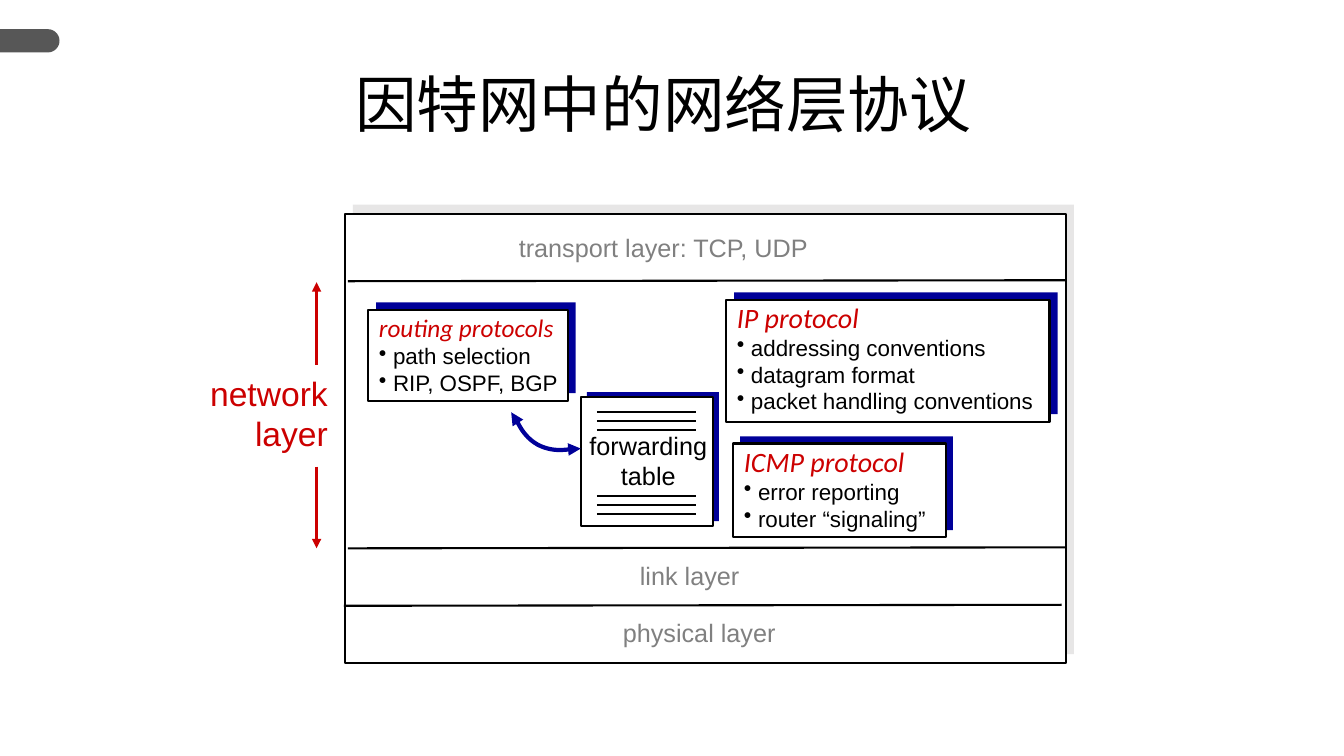
from dataclasses import dataclass
from math import cos, pi, sin

from lxml import etree
from pptx import Presentation
from pptx import util as u
from pptx.dml.color import RGBColor
from pptx.enum import shapes, text
from pptx.oxml import ns

PX = u.Inches(1) // 100
BLACK = RGBColor(0x00, 0x00, 0x00)
WHITE = RGBColor(0xFF, 0xFF, 0xFF)
NAVY = RGBColor(0x00, 0x00, 0x99)
RED = RGBColor(0xCC, 0x00, 0x00)
GREY = RGBColor(0x80, 0x80, 0x80)
PALE = RGBColor(0xE7, 0xE6, 0xE6)
DARK = RGBColor(0x57, 0x57, 0x57)
LEFT, CENTER, RIGHT = text.PP_ALIGN.LEFT, text.PP_ALIGN.CENTER, text.PP_ALIGN.RIGHT
BULLET_INDENT = 14


@dataclass(frozen=True)
class Panel:
    left: int
    top: int
    width: int
    height: int
    shift: tuple[int, int] = (8, -8)
    backing: RGBColor = NAVY


@dataclass(frozen=True)
class Label:
    left: int
    top: int
    width: int
    height: int
    lines: tuple[str, ...]
    size: int = 18
    color: RGBColor = GREY
    align: text.PP_ALIGN = CENTER
    wrap: bool = False


@dataclass(frozen=True)
class Protocol:
    left: int
    top: int
    width: int
    height: int
    heading: str
    size: int
    items: tuple[str, ...]
    wrap: bool = False


@dataclass(frozen=True)
class Stroke:
    start: tuple[int, int]
    end: tuple[int, int]
    color: RGBColor = BLACK
    width: float = 1.5
    arrow: bool = False


PANELS = (
    Panel(342, 212, 715, 446, (8, -9), PALE),
    Panel(576, 394, 131, 128, (6, -5)),
    Panel(365, 308, 198, 90),
    Panel(720, 298, 321, 121),
    Panel(727, 440, 211, 93, (7, -7)),
)
DIVIDERS = (
    Stroke((345, 279), (1058, 278)),
    Stroke((345, 544), (1058, 543)),
    Stroke((341, 601), (1053, 600)),
)
TABLE_RULES = tuple(
    Stroke((592, top + 9 * row), (690, top + 9 * row))
    for top in (409, 492) for row in range(3)
)
EXTENT_ARROWS = (
    Stroke((314, 362), (314, 280), RED, 2.25, True),
    Stroke((314, 463), (314, 544), RED, 2.25, True),
)
LABELS = (
    Label(574, 422, 138, 71, ("forwarding", "table"), color=BLACK),
    Label(503, 226, 310, 40, ("transport layer: TCP, UDP",)),
    Label(624, 551, 120, 40, ("link layer",)),
    Label(607, 608, 173, 40, ("physical layer",)),
    Label(197, 365, 138, 91, ("network", "layer"), 24, RED, RIGHT),
    Label(-5, 61, 1326, 84, ("因特网中的网络层协议",), 44, BLACK, wrap=True),
)
PROTOCOLS = (
    Protocol(366, 305, 207, 94, "routing protocols", 18,
             ("path selection", "RIP, OSPF, BGP")),
    Protocol(721, 293, 317, 124, "IP protocol", 20,
             ("addressing conventions", "datagram format", "packet handling conventions")),
    Protocol(728, 436, 217, 98, "ICMP protocol", 20,
             ("error reporting", "router “signaling”"), True),
)
EXCHANGE_CURVE = (
    ((507, 409), (512, 411), (514, 430), (533, 441)),
    ((533, 441), (552, 451), (567, 444), (576, 445)),
)


def add_rectangle(page, left: int, top: int, width: int, height: int,
                  fill: RGBColor, outlined: bool) -> None:
    """Draw a filled rectangle, with or without a black outline."""
    box = page.shapes.add_shape(shapes.MSO_SHAPE.RECTANGLE,
                                *(PX * n for n in (left, top, width, height)))
    box.shadow.inherit = False
    box.fill.solid()
    box.fill.fore_color.rgb = fill
    if outlined:
        box.line.color.rgb = BLACK
        box.line.width = u.Pt(1.5)
    else:
        box.line.fill.background()


def add_panel(page, panel: Panel) -> None:
    """Draw a white panel over its offset backing."""
    across, down = panel.shift
    add_rectangle(page, panel.left + across, panel.top + down,
                  panel.width, panel.height, panel.backing, False)
    add_rectangle(page, panel.left, panel.top, panel.width, panel.height, WHITE, True)


def add_arrowheads(shape, *ends: str) -> None:
    """Put triangles on the named ends of a line."""
    outline = shape._element.spPr.find(ns.qn("a:ln"))
    for end in ends:
        etree.SubElement(outline, ns.qn(f"a:{end}"), type="triangle")


def add_stroke(page, stroke: Stroke) -> None:
    """Draw a straight line, with an arrowhead if asked."""
    points = (PX * n for n in stroke.start + stroke.end)
    line = page.shapes.add_connector(shapes.MSO_CONNECTOR.STRAIGHT, *points)
    line.line.color.rgb = stroke.color
    line.line.width = u.Pt(stroke.width)
    if stroke.arrow:
        add_arrowheads(line, "tailEnd")
    etree.SubElement(line._element.spPr, ns.qn("a:effectLst"))


def add_outline(page, points: list[tuple[float, float]], close: bool):
    """Build a freeform through points given in px."""
    scaled = [(round(PX * x), round(PX * y)) for x, y in points]
    builder = page.shapes.build_freeform(*scaled[0])
    builder.add_line_segments(scaled[1:], close=close)
    shape = builder.convert_to_shape()
    shape.shadow.inherit = False
    return shape


def bezier_point(curve: tuple, t: float) -> tuple[float, float]:
    """Return the point at t on a cubic curve."""
    weights = ((1 - t) ** 3, 3 * t * (1 - t) ** 2, 3 * t * t * (1 - t), t ** 3)
    return (sum(w * p[0] for w, p in zip(weights, curve)),
            sum(w * p[1] for w, p in zip(weights, curve)))


def add_exchange_curve(page) -> None:
    """Draw the two-headed curve between routing and the table."""
    points = [bezier_point(curve, step / 16) for curve in EXCHANGE_CURVE for step in range(17)]
    shape = add_outline(page, points, False)
    shape.fill.background()
    shape.line.color.rgb = NAVY
    shape.line.width = u.Pt(3)
    add_arrowheads(shape, "headEnd", "tailEnd")


def add_side_tab(page) -> None:
    """Draw the round-ended tab at the left edge."""
    radius = 11.5
    angles = [pi * step / 24 - pi / 2 for step in range(25)]
    arc = [(47.5 + radius * cos(a), 40.5 + radius * sin(a)) for a in angles]
    shape = add_outline(page, [(0, 29), *arc, (0, 52)], True)
    shape.fill.solid()
    shape.fill.fore_color.rgb = DARK
    shape.line.fill.background()


def add_frame(page, place: Label | Protocol):
    """Add an empty text box and return its frame."""
    box = page.shapes.add_textbox(
        *(PX * n for n in (place.left, place.top, place.width, place.height)))
    box.text_frame.word_wrap = place.wrap
    return box.text_frame


def write_line(frame, index: int, words: str, color: RGBColor,
               align: text.PP_ALIGN = LEFT, bullet: bool = False, **formats) -> None:
    """Write one paragraph with its font formats."""
    para = frame.paragraphs[0] if index == 0 else frame.add_paragraph()
    para.alignment = align
    if bullet:
        props = para._p.get_or_add_pPr()
        props.set("marL", str(PX * BULLET_INDENT))
        props.set("indent", str(-PX * BULLET_INDENT))
        etree.SubElement(props, ns.qn("a:buChar"), char="•")
    span = para.add_run()
    span.text = words
    span.font.color.rgb = color
    for name, value in formats.items():
        setattr(span.font, name, value)


def add_label(page, label: Label) -> None:
    """Write a label of one or more lines."""
    frame = add_frame(page, label)
    for index, words in enumerate(label.lines):
        write_line(frame, index, words, label.color, label.align,
                   name="Arial", size=u.Pt(label.size))


def add_protocol(page, protocol: Protocol) -> None:
    """Write an italic heading and its bulleted items."""
    frame = add_frame(page, protocol)
    write_line(frame, 0, protocol.heading, RED,
               name="Calibri", size=u.Pt(protocol.size), italic=True)
    for index, words in enumerate(protocol.items, 1):
        write_line(frame, index, words, BLACK, bullet=True, name="Arial", size=u.Pt(16))


def main() -> None:
    """Build the slide and save it."""
    deck = Presentation()
    deck.slide_width, deck.slide_height = PX * 1333, PX * 750
    page = deck.slides.add_slide(deck.slide_layouts[6])
    add_side_tab(page)
    for panel in PANELS:
        add_panel(page, panel)
    for stroke in DIVIDERS + TABLE_RULES + EXTENT_ARROWS:
        add_stroke(page, stroke)
    add_exchange_curve(page)
    for label in LABELS:
        add_label(page, label)
    for protocol in PROTOCOLS:
        add_protocol(page, protocol)
    deck.save("out.pptx")


if __name__ == "__main__":
    main()
